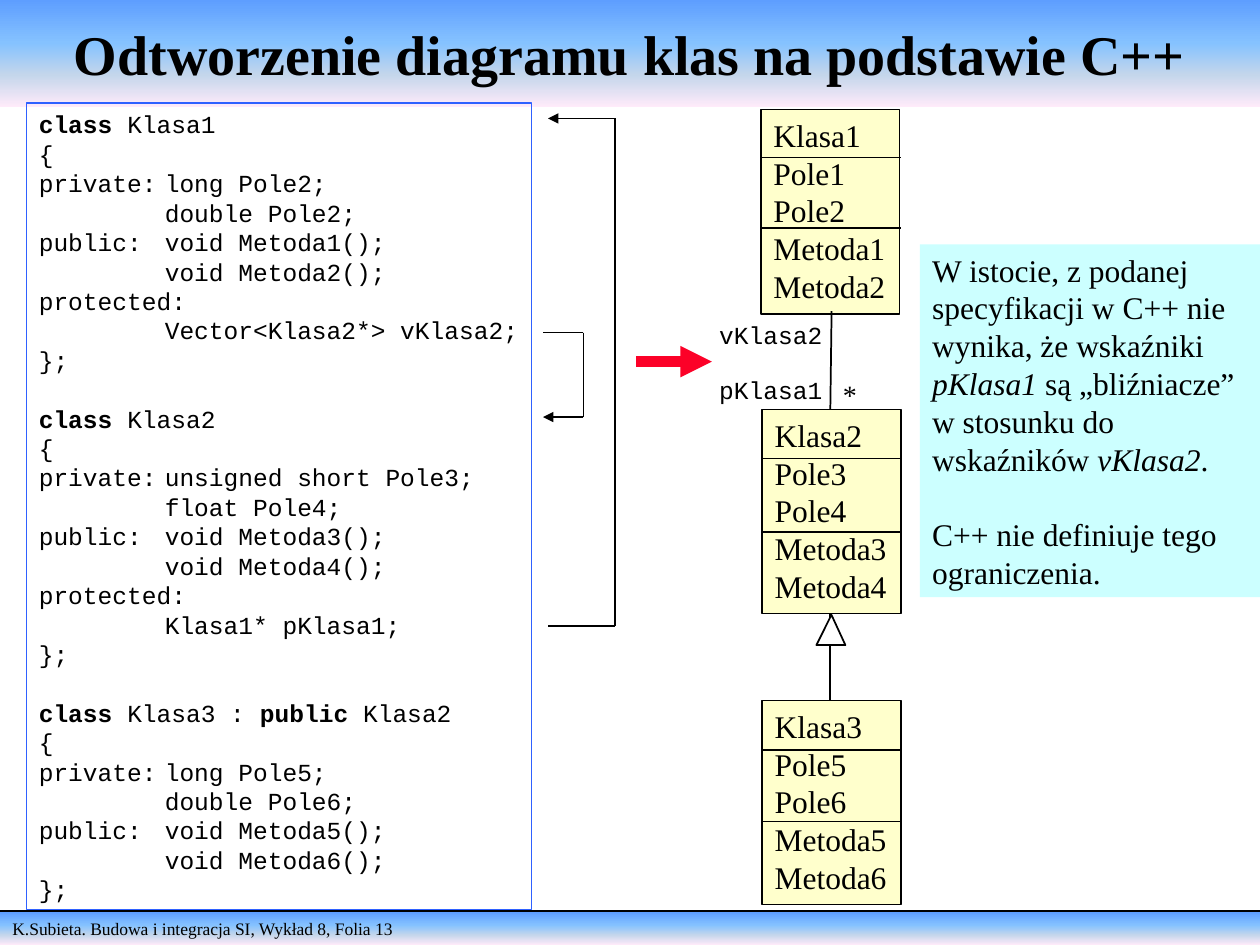
from pptx import Presentation
from pptx.util import Inches, Pt
from pptx.dml.color import RGBColor
from pptx.enum.shapes import MSO_SHAPE as Shape, MSO_CONNECTOR as Connector
from pptx.enum.text import PP_ALIGN as Align, MSO_ANCHOR as Anchor
from pptx.oxml import parse_xml
from pptx.oxml.ns import nsdecls
from lxml.etree import SubElement

COLORS = {
    "black": "000000", "white": "FFFFFF", "frame": "2F61FF",
    "class": "FFFFCC", "note": "CCFFFF", "arrow": "FC0128",
}
GRADIENT = [(0, "5E9EFF"), (40, "85C2FF"), (70, "C4D6EB"), (100, "FFEBFA")]
SERIF, MONO = "Times New Roman", "Courier New"
LEADING = 1.2

CODE = """class Klasa1
{
private:\tlong Pole2;
\tdouble Pole2;
public:\tvoid Metoda1();
\tvoid Metoda2();
protected:
\tVector<Klasa2*> vKlasa2;
};

class Klasa2
{
private:\tunsigned short Pole3;
\tfloat Pole4;
public:\tvoid Metoda3();
 \tvoid Metoda4();
protected:
\tKlasa1* pKlasa1;
};

class Klasa3 : public Klasa2
{
private:\tlong Pole5;
\tdouble Pole6;
public:\tvoid Metoda5();
 \tvoid Metoda6();
};"""
KEYWORDS = {"class": "bold", "public": "bold"}
NOTE = (
    "W istocie, z podanej specyfikacji w C++ nie wynika, że wskaźniki pKlasa1 "
    "są „bliźniacze” w stosunku do wskaźników vKlasa2.\n\n"
    "C++ nie definiuje tego ograniczenia."
)
POINTERS = {"pKlasa1": "italic", "vKlasa2": "italic"}

CLASSES = [
    (1, 6.04, 0.87, (1.25, 1.81)),
    (2, 6.05, 3.25, (3.64, 4.22)),
    (3, 6.05, 5.56, (5.95, 6.52)),
]


def rgb(name):
    return RGBColor.from_string(COLORS[name])


def split_marked(line, marks):
    spans = [(line, None)]
    for word, style in marks.items():
        pieces = []
        for text, known in spans:
            before, found, after = text.partition(word + " ")
            if not found:
                before, found, after = text.partition(word + ".")
            if known or not found:
                pieces.append((text, known))
            else:
                pieces += [(before, None), (word, style), (found[-1] + after, None)]
        spans = [piece for piece in pieces if piece[0]]
    return spans


def write(box, text, font=SERIF, size=18, bold=False, align=Align.LEFT,
          anchor=Anchor.TOP, wrap=False, marks=None, tab=None):
    frame = box.text_frame
    frame.word_wrap = wrap
    frame.vertical_anchor = anchor
    gap = 0
    first = True
    for line in text.split("\n"):
        if not line:
            gap = size * LEADING
            continue
        para = frame.paragraphs[0] if first else frame.add_paragraph()
        first = False
        if tab:
            add_tab(para, tab)
        para.alignment = align
        para.line_spacing = Pt(size * LEADING)
        if gap:
            para.space_before = Pt(gap)
            gap = 0
        for piece, style in split_marked(line, marks or {}):
            span = para.add_run()
            span.text = piece
            span.font.name = font
            span.font.size = Pt(size)
            span.font.bold = bold or style == "bold"
            span.font.italic = style == "italic"
            span.font.color.rgb = rgb("black")


def add_tab(para, position):
    tabs = parse_xml(f'<a:tabLst {nsdecls("a")}>'
                     f'<a:tab pos="{Inches(position)}" algn="l"/></a:tabLst>')
    para._p.get_or_add_pPr().append(tabs)


def add_box(page, left, top, width, height, fill=None, line=None, kind=Shape.RECTANGLE):
    box = page.shapes.add_shape(kind, Inches(left), Inches(top), Inches(width), Inches(height))
    box.shadow.inherit = False
    if fill:
        box.fill.solid()
        box.fill.fore_color.rgb = rgb(fill)
    else:
        box.fill.background()
    if line:
        box.line.color.rgb = rgb(line)
        box.line.width = Pt(1)
    else:
        box.line.fill.background()
    return box


def add_band(page, top, height):
    box = add_box(page, 0, top, 10, height)
    box.fill.gradient()
    box.fill.gradient_angle = 270
    stops = box._element.spPr.find(".//{*}gsLst")
    for stop in list(stops):
        stops.remove(stop)
    for percent, color in GRADIENT:
        stops.append(parse_xml(f'<a:gs {nsdecls("a")} pos="{percent * 1000}">'
                               f'<a:srgbClr val="{color}"/></a:gs>'))
    return box


def add_label(page, text, left, top, width, height, **style):
    box = page.shapes.add_textbox(Inches(left), Inches(top), Inches(width), Inches(height))
    write(box, text, **style)


def add_line(page, x1, y1, x2, y2, color="black", width=1, arrow=False):
    line = page.shapes.add_connector(
        Connector.STRAIGHT, Inches(x1), Inches(y1), Inches(x2), Inches(y2))
    line.line.color.rgb = rgb(color)
    line.line.width = Pt(width)
    if arrow:
        line.line._get_or_add_ln().append(
            parse_xml(f'<a:tailEnd {nsdecls("a")} type="triangle"/>'))
    properties = line._element.spPr
    SubElement(properties, "{%s}effectLst" % properties.nsmap["a"])


def add_class(page, number, left, top, dividers):
    box = add_box(page, left, top, 1.1, 1.62, "class", "black")
    first, second = 2 * number - 1, 2 * number
    write(box, f"Klasa{number}\nPole{first}\nPole{second}\nMetoda{first}\nMetoda{second}")
    for y in dividers:
        add_line(page, 6.04, y, 7.15, y)


def add_bracket(page, left, right, start, end, head):
    tail = start + end - head
    add_line(page, right, tail, left, tail)
    add_line(page, right, start, right, end)
    add_line(page, right, head, left, head, arrow=True)


def main():
    deck = Presentation()
    deck.slide_width, deck.slide_height = Inches(10), Inches(7.5)
    page = deck.slides.add_slide(deck.slide_layouts[6])

    write(add_band(page, 7.24, 0.26), "K.Subieta. Budowa i integracja SI, Wykład 8, Folia 13",
          size=10, wrap=True)
    add_line(page, 0, 7.23, 10, 7.23)
    write(add_band(page, 0, 0.85), "Odtworzenie diagramu klas na podstawie C++",
          size=32, bold=True, align=Align.CENTER, anchor=Anchor.MIDDLE, wrap=True)

    write(add_box(page, 0.21, 0.82, 4.01, 6.4, line="frame"), CODE,
          font=MONO, size=14, marks=KEYWORDS, tab=1)

    add_line(page, 6.59, 4.81, 6.59, 6.75)
    for number, left, top, dividers in CLASSES:
        add_class(page, number, left, top, dividers)
    add_line(page, 6.59, 3.25, 6.6, 2.47)
    triangle = add_box(page, 6.48, 4.88, 0.23, 0.24, "white", "black", Shape.ISOSCELES_TRIANGLE)
    triangle.adjustments[0] = 0.52

    add_label(page, "vKlasa2", 5.61, 2.49, 1.02, 0.33, font=MONO, size=14)
    add_label(page, "pKlasa1", 5.61, 2.93, 1.02, 0.33, font=MONO, size=14)
    add_label(page, "*", 6.59, 2.95, 0.31, 0.37, size=16)
    write(add_box(page, 7.3, 1.94, 2.7, 2.8, "note"), NOTE, wrap=True, marks=POINTERS)

    add_line(page, 5.05, 2.87, 5.65, 2.87, "arrow", 6, arrow=True)
    add_bracket(page, 4.31, 4.63, 2.64, 3.31, head=3.31)
    add_bracket(page, 4.35, 4.88, 0.94, 4.97, head=0.94)

    deck.save("out.pptx")


if __name__ == "__main__":
    main()
